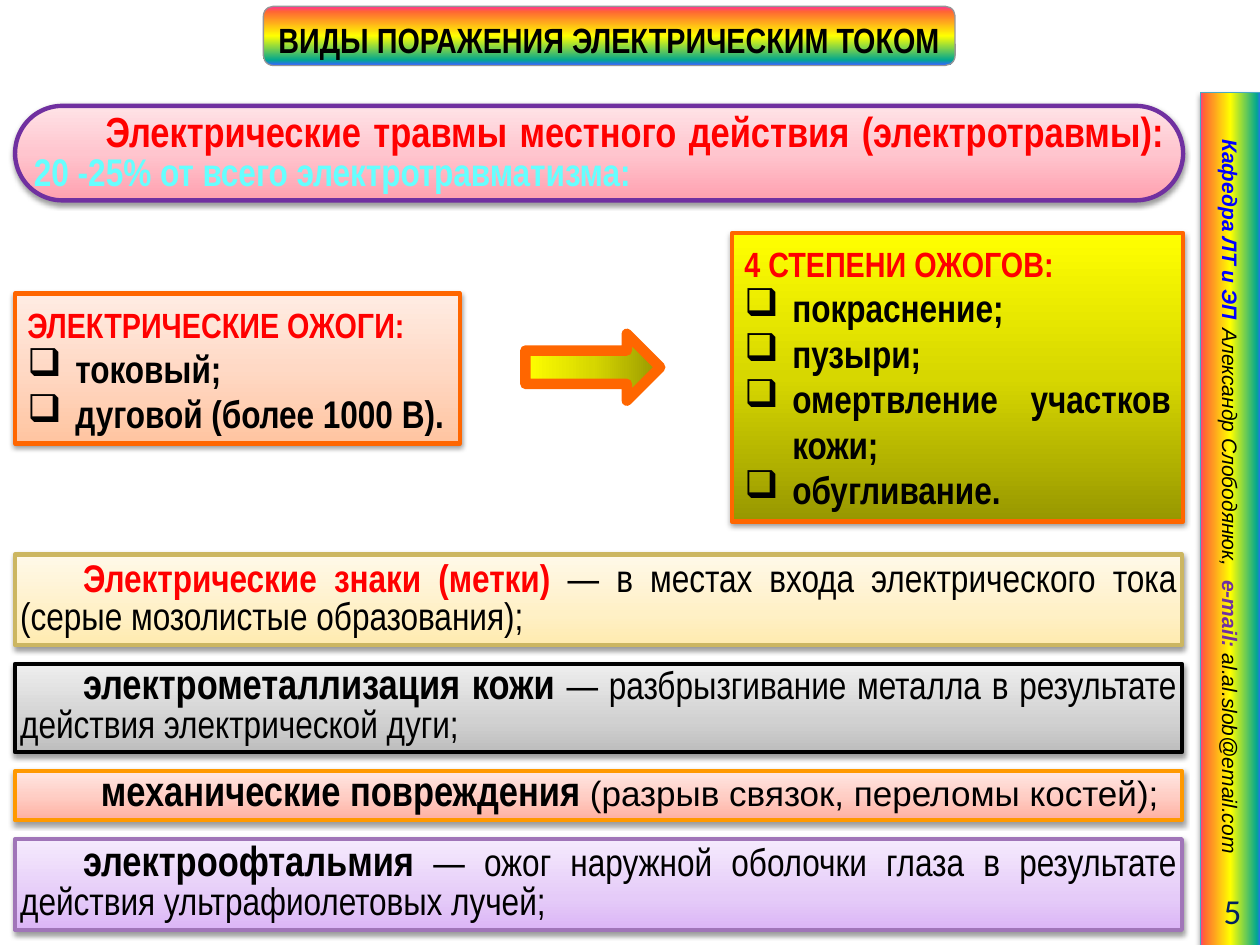
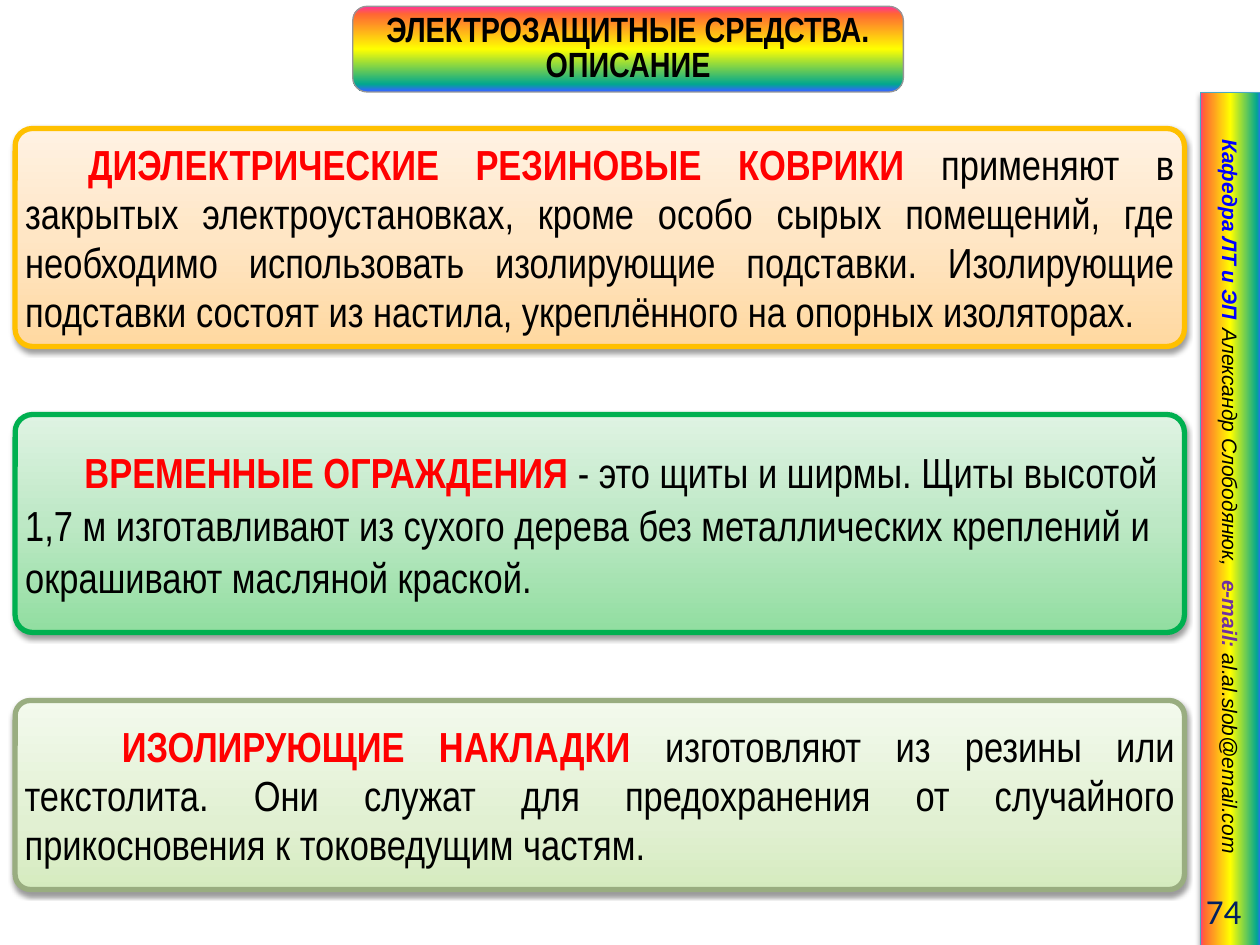
from dataclasses import dataclass

from lxml import etree
from pptx import Presentation
from pptx.dml.color import RGBColor
from pptx.enum.shapes import MSO_SHAPE
from pptx.enum.text import MSO_ANCHOR, PP_ALIGN
from pptx.oxml.ns import qn
from pptx.util import Inches, Pt

RECTANGLE, ROUNDED = MSO_SHAPE.RECTANGLE, MSO_SHAPE.ROUNDED_RECTANGLE
RIGHT_ARROW = MSO_SHAPE.RIGHT_ARROW
TOP, MIDDLE = MSO_ANCHOR.TOP, MSO_ANCHOR.MIDDLE
LEFT, CENTER = PP_ALIGN.LEFT, PP_ALIGN.CENTER
RIGHT, JUSTIFY = PP_ALIGN.RIGHT, PP_ALIGN.JUSTIFY


@dataclass(frozen=True)
class Theme:
    narrow: str = "Arial Narrow"
    sans: str = "Arial"
    number_font: str = "Calibri"
    black: str = "000000"
    red: str = "FF0000"
    blue: str = "0000FF"
    navy: str = "002060"
    purple: str = "7030A0"
    cyan: str = "66FFFF"
    small: int = 12
    title: int = 20
    body: int = 22
    large: int = 24


@dataclass(frozen=True)
class Skin:
    """Gradient stops as (percent, colour), outline, and clockwise angle."""
    stops: tuple
    line: str
    width: float = 2.5
    angle: int = 270
    shadow: bool = True


@dataclass(frozen=True)
class Run:
    text: str
    size: int
    color: str = "000000"
    bold: bool = False
    italic: bool = False
    font: str = "Arial Narrow"


THEME = Theme()


def tint(dark, middle, light, line, width=2.5, middle_at=50, **options):
    return Skin(((0, dark), (middle_at, middle), (100, light)), line, width, **options)


def rainbow(margin, end, line, **options):
    stops = ((0, "FF3399"), (margin, "FF6633"), (50, "FFFF00"),
             (100 - margin, "01A78F"), (end, "3366FF"))
    return Skin(stops, line, 0.75, **options)


TITLE_SKIN = rainbow(9, 99, "969696", angle=90, shadow=False)
SIDEBAR_SKIN = rainbow(6, 100, "46AAC5")
YELLOW = ("979700", "D7D700", "FFFF00", "FF6600")
INSET = (0.04, 0.04, 0.04, 0.04)
DEFAULT_INSET = (0.1, 0.05, 0.1, 0.05)


def paint(shape, skin):
    shape.fill.gradient()
    shape.fill.gradient_angle = 360 - skin.angle
    stop_list = shape.element.spPr.find(qn("a:gradFill")).find(qn("a:gsLst"))
    for stop in list(stop_list):
        stop_list.remove(stop)
    for percent, color in skin.stops:
        stop = etree.SubElement(stop_list, qn("a:gs"), pos=str(percent * 1000))
        etree.SubElement(stop, qn("a:srgbClr"), val=color)
    shape.line.color.rgb = RGBColor.from_string(skin.line)
    shape.line.width = Pt(skin.width)
    shape.shadow.inherit = False
    if skin.shadow:
        effects = shape.element.spPr.find(qn("a:effectLst"))
        shadow = etree.SubElement(effects, qn("a:outerShdw"), blurRad=str(Pt(3.1)),
                                  dist=str(Pt(1.6)), dir="5400000", rotWithShape="0")
        color = etree.SubElement(shadow, qn("a:srgbClr"), val=THEME.black)
        etree.SubElement(color, qn("a:alpha"), val="38000")


def add_block(slide, kind, box, skin, adjustment=None):
    shape = slide.shapes.add_shape(kind, *map(Inches, box))
    if adjustment is not None:
        shape.adjustments[0] = adjustment
    paint(shape, skin)
    return shape


def set_frame(shape, anchor=MIDDLE, inset=INSET):
    frame = shape.text_frame
    frame.word_wrap = True
    frame.vertical_anchor = anchor
    (frame.margin_left, frame.margin_top,
     frame.margin_right, frame.margin_bottom) = map(Inches, inset)
    return frame


def write(paragraph, runs, align=JUSTIFY, leading=None, indent=0.0, bullet=None):
    """Fill a paragraph; a bullet hangs by the indent."""
    paragraph.alignment = align
    if leading:
        paragraph.line_spacing = Pt(leading)
    properties = paragraph._p.get_or_add_pPr()
    properties.set("marL", str(Inches(indent) if bullet else 0))
    properties.set("indent", str(Inches(-indent if bullet else indent)))
    if bullet:
        etree.SubElement(properties, qn("a:buChar"), char=bullet)
    for item in runs:
        run = paragraph.add_run()
        run.text = item.text
        font = run.font
        font.name, font.size = item.font, Pt(item.size)
        font.bold, font.italic = item.bold, item.italic
        font.color.rgb = RGBColor.from_string(item.color)


def add_title(slide, text, box, leading):
    shape = add_block(slide, ROUNDED, box, TITLE_SKIN)
    write(set_frame(shape).paragraphs[0], [Run(text, THEME.title, bold=True)],
          CENTER, leading)


def add_sidebar(slide, number):
    bar = add_block(slide, RECTANGLE, (6.38, 3.88, 6.77, 0.48), SIDEBAR_SKIN)
    bar.rotation = 90
    paragraph = set_frame(bar, inset=(0.37, 0.05, 0, 0.05)).paragraphs[0]
    parts = (("Кафедра ЛТ и ЭП\t", THEME.blue, True),
             ("Александр Слободянюк,\t", THEME.black, False),
             ("e-mail: ", THEME.purple, True),
             ("al.al.slob@email.com", THEME.black, False))
    write(paragraph, [Run(text, THEME.small, color, bold, True, THEME.sans)
                      for text, color, bold in parts], LEFT)
    tabs = etree.SubElement(paragraph._p.get_or_add_pPr(), qn("a:tabLst"))
    for position in (1.85, 3.83):
        etree.SubElement(tabs, qn("a:tab"), pos=str(Inches(position)), algn="l")
    label = slide.shapes.add_textbox(*map(Inches, (8.86, 7.03, 1.09, 0.4)))
    write(set_frame(label, inset=DEFAULT_INSET).paragraphs[0],
          [Run(str(number), THEME.title, THEME.navy, font=THEME.number_font)], RIGHT)


def add_list_card(slide, box, skin, heading, items):
    frame = set_frame(add_block(slide, RECTANGLE, box, skin), TOP, DEFAULT_INSET)
    write(frame.paragraphs[0], [Run(heading, THEME.title, THEME.red, True)], leading=26)
    for item in items:
        write(frame.add_paragraph(), [Run(item, THEME.body, bold=True)],
              leading=26, indent=0.38, bullet="❑")


def add_definition(slide, kind, box, skin, runs, adjustment=None, inset=INSET, **layout):
    shape = add_block(slide, kind, box, skin, adjustment)
    write(set_frame(shape, inset=inset).paragraphs[0], runs, **layout)


def stack(top, gap, heights, width):
    """Boxes of the given heights, one below another."""
    boxes = []
    for height in heights:
        boxes.append((0.12, top, width, height))
        top += height + gap
    return boxes


def new_slide(presentation, number, title, title_box, leading):
    slide = presentation.slides.add_slide(presentation.slide_layouts[6])
    add_sidebar(slide, number)
    add_title(slide, title, title_box, leading)
    return slide


def build_injuries(presentation):
    slide = new_slide(presentation, 5, "ВИДЫ ПОРАЖЕНИЯ ЭЛЕКТРИЧЕСКИМ ТОКОМ",
                      (2.09, 0.05, 5.49, 0.47), 28)
    add_definition(
        slide, ROUNDED, (0.12, 0.84, 9.27, 0.75),
        tint("FFA0AF", "FFC5CE", "FFE3E7", THEME.purple),
        [Run(" Электрические травмы местного действия (электротравмы): ",
             THEME.large, THEME.red, True),
         Run("20 -25% от всего электротравматизма:", THEME.body, THEME.cyan, True)],
        adjustment=0.5, inset=(0.04, 0.04, 0.04, 0), leading=22, indent=0.47)

    add_list_card(slide, (0.12, 2.33, 3.53, 1.19),
                  tint("FFC4A0", "FFD9C5", "FFECE3", "FF6600"),
                  "ЭЛЕКТРИЧЕСКИЕ ОЖОГИ:", ("токовый; ", "дуговой (более 1000 В)."))
    add_list_card(slide, (5.81, 1.85, 3.58, 2.29), tint(*YELLOW), "4 СТЕПЕНИ ОЖОГОВ:",
                  ("покраснение; ", "пузыри;", "омертвление участков кожи;",
                   "обугливание."))
    add_block(slide, RIGHT_ARROW, (4.17, 2.65, 1.07, 0.53),
              tint(*YELLOW, width=6, angle=180, shadow=False))

    bands = (
        (tint("FFEBAF", "FFF0C6", "FFF9E9", "CCB661", middle_at=35), JUSTIFY,
         Run("Электрические знаки (метки) ", THEME.body, THEME.red, True),
         Run("— в местах входа электрического тока (серые мозолистые образования);",
             THEME.body)),
        (tint("BDBDBD", "D1D1D1", "EEEEEE", THEME.black, middle_at=35), JUSTIFY,
         Run("электрометаллизация кожи ", THEME.large, bold=True),
         Run("— разбрызгивание металла в результате действия электрической дуги;",
             THEME.body)),
        (tint("FFAFA0", "FFCEC5", "FFE7E3", "FF9900"), CENTER,
         Run("механические повреждения ", THEME.large, bold=True),
         Run("(разрыв связок, переломы костей);", THEME.title, font=THEME.sans)),
        (tint("DBB5F6", "E5CBF8", "F5EAFD", "A075B8", middle_at=35), JUSTIFY,
         Run("электроофтальмия", THEME.large, bold=True),
         Run(" — ожог наружной оболочки глаза в результате действия "
             "ультрафиолетовых лучей;", THEME.body)),
    )
    boxes = stack(4.4, 0.15, (0.72, 0.7, 0.39, 0.72), 9.26)
    for box, (skin, align, term, meaning) in zip(boxes, bands):
        add_definition(slide, RECTANGLE, box, skin, (term, meaning),
                       align=align, leading=22, indent=0.5)


def build_protection(presentation):
    slide = new_slide(presentation, 74, "ЭЛЕКТРОЗАЩИТНЫЕ СРЕДСТВА. ОПИСАНИЕ",
                      (2.8, 0.05, 4.37, 0.68), 20)
    cards = (
        (tint("FFD8A0", "FFE6C5", "FFF2E3", "FFC000", 3), JUSTIFY, 28, 0.5,
         "ДИЭЛЕКТРИЧЕСКИЕ РЕЗИНОВЫЕ КОВРИКИ ",
         "применяют в закрытых электроустановках, кроме особо сырых помещений, "
         "где необходимо использовать изолирующие подставки. Изолирующие подставки "
         "состоят из настила, укреплённого на опорных изоляторах. "),
        (tint("91DEA0", "BDE8C5", "DFF3E3", "00B050", 3), LEFT, 30, 0.47,
         "ВРЕМЕННЫЕ ОГРАЖДЕНИЯ ",
         "- это щиты и ширмы. Щиты высотой 1,7 м изготавливают из сухого дерева "
         "без металлических креплений и окрашивают масляной краской."),
        (tint("D5EBBF", "E1F0D2", "F3FAED", "99AD80", 3, 35), JUSTIFY, 28, 0.5,
         " ИЗОЛИРУЮЩИЕ НАКЛАДКИ ",
         "изготовляют из резины или текстолита. Они служат для предохранения "
         "от случайного прикосновения к токоведущим частям. "),
    )
    boxes = stack(1.02, 0.54, (1.73, 1.73, 1.5), 9.28)
    for box, (skin, align, leading, indent, term, meaning) in zip(boxes, cards):
        runs = (Run(term, THEME.large, THEME.red, True), Run(meaning, THEME.large))
        add_definition(slide, ROUNDED, box, skin, runs, adjustment=0.08,
                       align=align, leading=leading, indent=indent)


def main():
    presentation = Presentation()
    presentation.slide_width, presentation.slide_height = Inches(10), Inches(7.5)
    build_injuries(presentation)
    build_protection(presentation)
    presentation.save("out.pptx")


if __name__ == "__main__":
    main()
